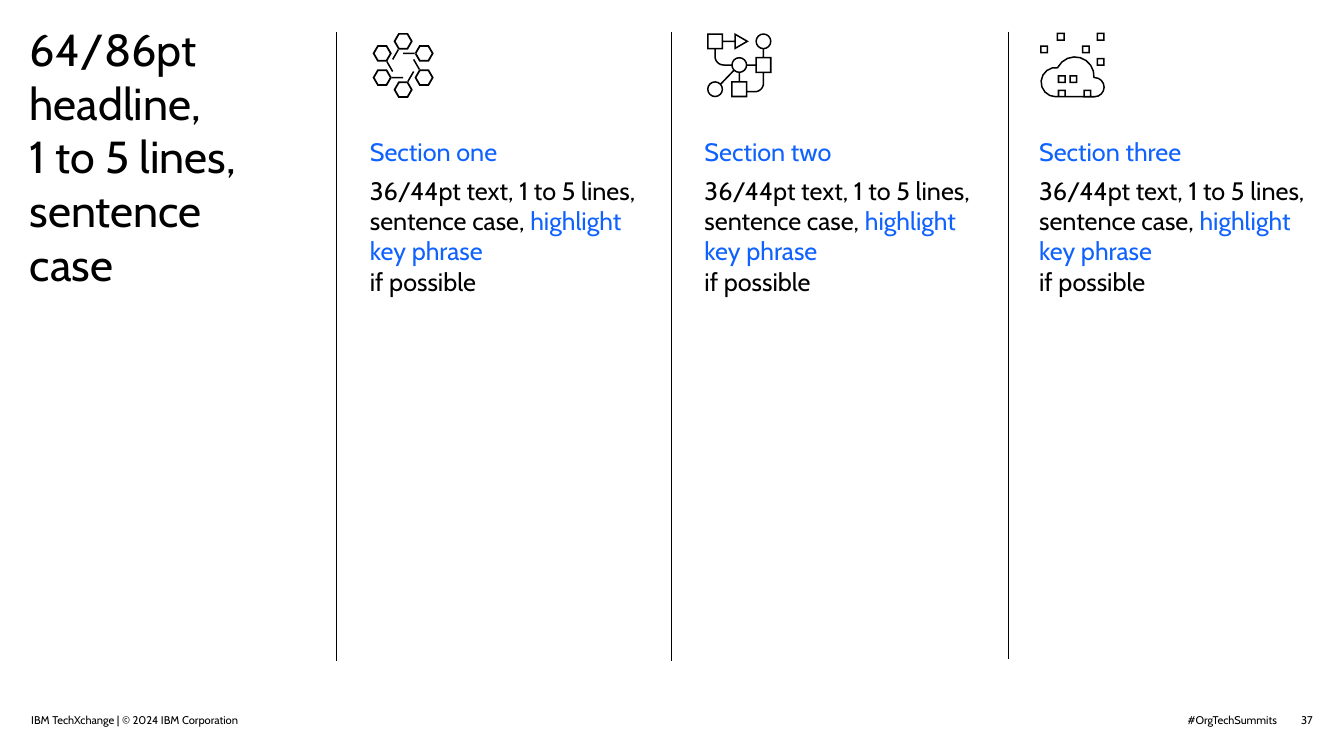
from math import cos, hypot, radians, sin, sqrt

from lxml.etree import SubElement
from pptx import Presentation
from pptx.dml.color import RGBColor
from pptx.enum.shapes import MSO_CONNECTOR
from pptx.enum.text import MSO_ANCHOR, PP_ALIGN
from pptx.oxml.ns import qn
from pptx.util import Inches, Pt

FONT = "Cabin"
BLACK = "000000"
BLUE = "0F62FE"
STROKE = 0.03


def color(value):
    return RGBColor.from_string(value)


def style_font(font, size, value):
    font.name = FONT
    font.size = Pt(size)
    font.color.rgb = color(value)


def add_text_box(slide, left, top, width, height, right_inset=0, anchor=MSO_ANCHOR.TOP):
    box = slide.shapes.add_textbox(Inches(left), Inches(top), Inches(width), Inches(height))
    frame = box.text_frame
    frame.word_wrap = True
    frame.vertical_anchor = anchor
    frame.margin_left = frame.margin_top = frame.margin_bottom = 0
    frame.margin_right = Inches(right_inset)
    return frame


def write_line(frame, text, size, align=PP_ALIGN.LEFT, value=BLACK):
    paragraph = frame.paragraphs[0]
    paragraph.text = text
    paragraph.alignment = align
    style_font(paragraph.font, size, value)
    return paragraph


def add_section(slide, left, heading):
    frame = add_text_box(slide, left, 2.71, 5.42, 6.67)
    write_line(frame, heading, 36, value=BLUE).space_after = Pt(12)
    paragraph = frame.add_paragraph()
    paragraph.space_after = Pt(12)
    style_font(paragraph.font, 36, BLACK)
    paragraph.add_run().text = "36/44pt text, 1 to 5 lines, sentence case, "
    highlight = paragraph.add_run()
    highlight.text = "highlight key phrase "
    highlight.font.color.rgb = color(BLUE)
    paragraph.add_line_break()
    paragraph.add_run().text = "if possible"


def add_divider(slide, x, top, bottom):
    points = [Inches(value) for value in (x, top, x, bottom)]
    line = slide.shapes.add_connector(MSO_CONNECTOR.STRAIGHT, *points)
    line.line.color.rgb = color(BLACK)
    line.line.width = Pt(1)
    SubElement(line._element.spPr, qn("a:effectLst"))


def arc(center, radius, start, end, steps=8):
    angles = [radians(start + (end - start) * step / steps) for step in range(steps + 1)]
    return [(center[0] + radius * cos(a), center[1] + radius * sin(a)) for a in angles]


def ring(center, radius, inner_radius, sides, start=0):
    turn = 360 / sides
    outer = arc(center, radius, start, start + 360 - turn, sides - 1)
    inner = arc(center, inner_radius, start, start + 360 - turn, sides - 1)
    return [outer, inner[::-1]]


def square(center, half):
    return ring(center, half * sqrt(2), (half - STROKE) * sqrt(2), 4, 45)


def band(points):
    sides = [], []
    for index, (x, y) in enumerate(points):
        before = points[max(index - 1, 0)]
        after = points[min(index + 1, len(points) - 1)]
        across, down = after[0] - before[0], after[1] - before[1]
        scale = STROKE / 2 / hypot(across, down)
        sides[0].append((x - down * scale, y + across * scale))
        sides[1].append((x + down * scale, y - across * scale))
    return [sides[0] + sides[1][::-1]]


def add_icon(slide, contours):
    builder = None
    for contour in contours:
        start, *rest = [(Inches(x), Inches(y)) for x, y in contour]
        if builder is None:
            builder = slide.shapes.add_group_shape().shapes.build_freeform(*start)
        else:
            builder.move_to(*start)
        builder.add_line_segments(rest, close=True)
    icon = builder.convert_to_shape()
    icon.shadow.inherit = False
    icon.fill.solid()
    icon.fill.fore_color.rgb = color(BLACK)
    icon.line.fill.background()


def hexagon_ring():
    center = (8, 1.3)
    contours = []
    for place in arc(center, 0.48, -90, 210, 5):
        contours += ring(place, 0.19, 0.15, 6)
    spoke_starts = arc(center, 0.34, -105, 195, 5)
    spoke_ends = arc(center, 0.24, -150, 150, 5)
    for spoke in zip(spoke_starts, spoke_ends):
        contours += band(spoke)
    return contours


def flow_network():
    left, middle, right = 14.19, 14.67, 15.15
    top, center, bottom = 0.82, 1.29, 1.77
    half = 0.16
    contours = []
    for place in ((left, top), (right, center), (middle, bottom)):
        contours += square(place, half)
    for place in ((right, top), (middle, center), (left, bottom)):
        contours += ring(place, half, half - STROKE, 16)
    contours += ring((14.67, top), 0.19, 0.13, 3)
    lines = (
        [(left + half, top), (14.58, top)],
        [(right, top + half), (right, center - half)],
        [(middle + half, center), (right - half, center)],
        [(middle, center + half), (middle, bottom - half)],
        [(14.56, 1.4), (14.31, 1.66)],
        [(left, top + half), *arc((left + 0.17, center - 0.17), 0.17, 180, 90),
         (middle - half, center)],
        [(right, center + half), *arc((right - 0.17, bottom - 0.12), 0.17, 0, 90),
         (middle + half, bottom + 0.05)],
    )
    for line in lines:
        contours += band(line)
    return contours


def cloud_outline(grow):
    return (
        arc((20.95, 1.63), 0.29 + grow, 90, 280)
        + arc((21.33, 1.51), 0.38 + grow, 208, 365)
        + arc((21.72, 1.73), 0.19 + grow, 270, 450)
    )


def doorway(x):
    outer, inner = 0.08, 0.08 - STROKE
    return [
        (x - outer, 1.9), (x - outer, 1.78), (x + outer, 1.78), (x + outer, 1.9),
        (x + inner, 1.9), (x + inner, 1.81), (x - inner, 1.81), (x - inner, 1.9),
    ]


def cloud():
    contours = [cloud_outline(STROKE / 2), cloud_outline(-STROKE / 2)[::-1]]
    contours += [doorway(21.07), doorway(21.58)]
    squares = (
        (21.07, 1.57), (21.3, 1.57), (21.84, 1.23), (21.55, 0.98),
        (20.72, 0.98), (21.84, 0.73), (21.05, 0.73),
    )
    for place in squares:
        contours += square(place, 0.08)
    return contours


def main():
    presentation = Presentation()
    presentation.slide_width = Inches(26.67)
    presentation.slide_height = Inches(15)
    slide = presentation.slides.add_slide(presentation.slide_layouts[6])

    for x, top, bottom in ((13.33, 0.64, 13.12), (20, 0.63, 13.07), (6.68, 0.64, 13.12)):
        add_divider(slide, x, top, bottom)

    hashtag = add_text_box(slide, 23.32, 14.15, 2.02, 0.27)
    write_line(hashtag, "#OrgTechSummits", 16, PP_ALIGN.RIGHT)

    for contours in (hexagon_ring(), flow_network(), cloud()):
        add_icon(slide, contours)

    title = add_text_box(slide, 0.59, 0.43, 5.45, 7.07, right_inset=0.5)
    write_line(title, "64/86pt headline, \v1 to 5 lines, sentence case", 64)

    page_number = add_text_box(slide, 25.75, 14.15, 0.3, 0.27, anchor=MSO_ANCHOR.MIDDLE)
    write_line(page_number, "37", 16, PP_ALIGN.RIGHT)

    for index, heading in enumerate(("Section one", "Section two", "Section three")):
        add_section(slide, 7.34 + 6.64 * index, heading)

    copyright_line = add_text_box(slide, 0.62, 14, 5.42, 0.42, anchor=MSO_ANCHOR.BOTTOM)
    write_line(copyright_line, "IBM TechXchange | © 2024 IBM Corporation", 16)

    presentation.save("out.pptx")


if __name__ == "__main__":
    main()
